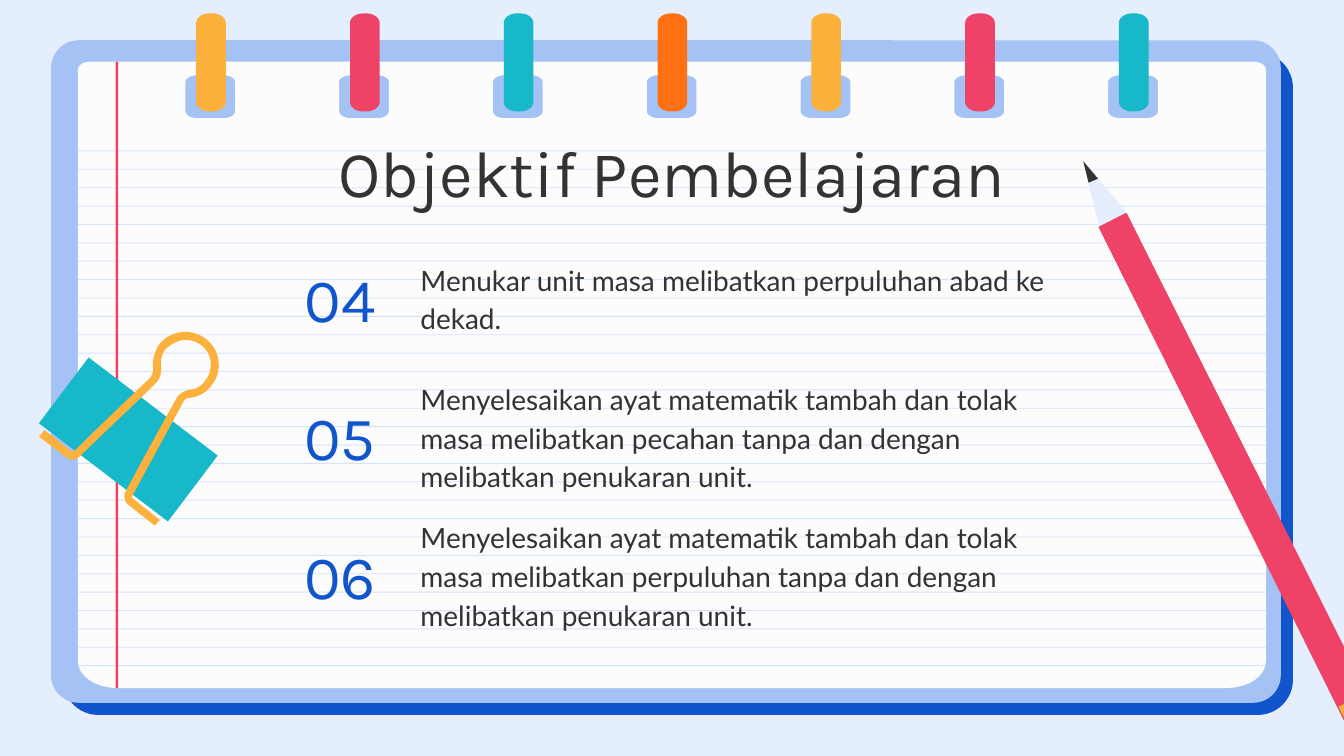
import math
from lxml import etree
from pptx import Presentation, util as u
from pptx.dml.color import RGBColor
from pptx.enum import shapes, text
from pptx.oxml.ns import qn

SKY = RGBColor(0xE5, 0xEE, 0xFC)
BLUE = RGBColor(0x11, 0x55, 0xCC)
PALE_BLUE = RGBColor(0xA4, 0xC2, 0xF4)
PAPER = RGBColor(0xFC, 0xFC, 0xFC)
YELLOW = RGBColor(0xFB, 0xB1, 0x3C)
RED = RGBColor(0xEE, 0x42, 0x66)
TEAL = RGBColor(0x16, 0xB8, 0xC9)
ORANGE = RGBColor(0xFF, 0x71, 0x13)
INK = RGBColor(0x33, 0x33, 0x33)

# Content
TITLE = "Objektif Pembelajaran"
OBJECTIVES = [
    ("04", "Menukar unit masa melibatkan perpuluhan abad ke dekad."),
    ("05", "Menyelesaikan ayat matematik tambah dan tolak masa melibatkan "
           "pecahan tanpa dan dengan melibatkan penukaran unit."),
    ("06", "Menyelesaikan ayat matematik tambah dan tolak masa melibatkan "
           "perpuluhan tanpa dan dengan melibatkan penukaran unit."),
]
RING_COLORS = [YELLOW, RED, TEAL, ORANGE, YELLOW, RED, TEAL]

# Outlines in inches: pairs are corners, sixes are Bezier curves
CLIP_BODY = [(0.66, 2.66), (0.29, 3.15), (1.25, 3.88), (1.62, 3.39)]
CLIP_WIRE = [
    (1.38, 2.47), (1.31, 2.47, 1.23, 2.5, 1.18, 2.57), (1.15, 2.62, 1.13, 2.68, 1.14, 2.75),
    (1.14, 2.77, 1.13, 2.79, 1.12, 2.81), (0.97, 2.95, 0.66, 3.25, 0.56, 3.35),
    (0.55, 3.36, 0.54, 3.36, 0.54, 3.36), (0.53, 3.36, 0.52, 3.36, 0.52, 3.35),
    (0.33, 3.2), (0.29, 3.25), (0.49, 3.4), (0.5, 3.41, 0.52, 3.42, 0.54, 3.42),
    (0.56, 3.42, 0.58, 3.41, 0.6, 3.39), (0.7, 3.29, 1.01, 3, 1.16, 2.85),
    (1.19, 2.82, 1.2, 2.78, 1.2, 2.74), (1.19, 2.69, 1.2, 2.64, 1.23, 2.6),
    (1.27, 2.56, 1.33, 2.53, 1.38, 2.53), (1.42, 2.53, 1.46, 2.54, 1.5, 2.57),
    (1.58, 2.63, 1.59, 2.75, 1.53, 2.83), (1.5, 2.87, 1.46, 2.9, 1.41, 2.9),
    (1.37, 2.91, 1.33, 2.93, 1.31, 2.97), (1.21, 3.15, 1, 3.53, 0.94, 3.65),
    (0.91, 3.69, 0.93, 3.74, 0.96, 3.76), (1.15, 3.91), (1.19, 3.87), (0.99, 3.71),
    (0.98, 3.71, 0.98, 3.69, 0.99, 3.68), (1.06, 3.55, 1.26, 3.18, 1.36, 3),
    (1.37, 2.97, 1.39, 2.96, 1.42, 2.96), (1.48, 2.95, 1.54, 2.92, 1.58, 2.86),
    (1.66, 2.76, 1.64, 2.6, 1.53, 2.52), (1.49, 2.49, 1.43, 2.47, 1.38, 2.47),
]
PENCIL = [  # outline, fill, outlined
    ([(8.06, 1.2), (8.18, 1.69), (8.39, 1.59)], SKY, False),
    ([(8.06, 1.2), (8.1, 1.36), (8.17, 1.33)], INK, False),
    ([(8.28, 1.64), (10.18, 5.43), (10.28, 5.38), (8.38, 1.59)], RED, True),
    ([(8.18, 1.69), (10.07, 5.49), (10.18, 5.43), (8.28, 1.64)], RED, True),
    ([(9.96, 5.26), (10.09, 5.52), (10.3, 5.42), (10.17, 5.15)], YELLOW, False),
]


def flatten(outline, steps=8):
    """Turn the curves of an outline into short straight segments."""
    points = [outline[0]]
    for seg in outline[1:]:
        if len(seg) == 2:
            points.append(seg)
            continue
        curve = [points[-1], seg[:2], seg[2:4], seg[4:]]
        for i in range(1, steps + 1):
            t = i / steps
            w = [(1 - t) ** 3, 3 * t * (1 - t) ** 2, 3 * t * t * (1 - t), t ** 3]
            points.append(tuple(sum(k * pt[a] for k, pt in zip(w, curve)) for a in (0, 1)))
    return points


def rounded(left, top, right, bottom, top_radii, bottom_radii):
    """Corner points of a box with elliptical corners, clockwise from the left."""
    corners = [(left, top, 1, 1, top_radii), (right, top, -1, 1, top_radii),
               (right, bottom, -1, -1, bottom_radii), (left, bottom, 1, -1, bottom_radii)]
    points = []
    for n, (x, y, sx, sy, (rx, ry)) in enumerate(corners):
        for i in range(9):
            a = math.pi + (n + i / 8) * math.pi / 2
            points.append((x + sx * rx + rx * math.cos(a), y + sy * ry + ry * math.sin(a)))
    return points


def paint(sp, color, outlined=False):
    sp.shadow.inherit = False
    sp.fill.solid()
    sp.fill.fore_color.rgb = color
    if outlined:
        sp.line.color.rgb = color
        sp.line.width = u.Pt(0.75)
    else:
        sp.line.fill.background()
    return sp


def add_outline(s, contours, color, outlined=False):
    contours = [[(u.Inches(x), u.Inches(y)) for x, y in c] for c in contours]
    builder = s.shapes.build_freeform(*contours[0][0])
    for i, c in enumerate(contours):
        if i:
            builder.move_to(*c[0])
        builder.add_line_segments(c[1:], close=True)
    return paint(builder.convert_to_shape(), color, outlined)


def add_box(s, kind, left, top, width, height, color):
    sp = s.shapes.add_shape(kind, *map(u.Inches, (left, top, width, height)))
    return paint(sp, color)


def add_text(s, box, words, font, size, color, align, anchor, spacing=None):
    tf = s.shapes.add_textbox(*map(u.Inches, box)).text_frame
    tf.word_wrap = True
    tf.vertical_anchor = anchor
    tf.margin_left = tf.margin_right = tf.margin_top = tf.margin_bottom = u.Inches(0.1)
    p = tf.paragraphs[0]
    p.text = words
    p.alignment = align
    p.line_spacing = spacing
    p.font.name, p.font.size, p.font.color.rgb = font, u.Pt(size), color


prs = Presentation()
prs.slide_width = u.Inches(10)
prs.slide_height = u.Inches(10 * 9 / 16)
s = prs.slides.add_slide(prs.slide_layouts[6])
s.background.fill.solid()
s.background.fill.fore_color.rgb = SKY

# Notebook covers
for left, top, color, corner in [(0.47, 0.39, BLUE, 0.053), (0.38, 0.3, PALE_BLUE, 0.042)]:
    sp = add_box(s, shapes.MSO_SHAPE.ROUNDED_RECTANGLE, left, top, 9.15, 4.93, color)
    sp.adjustments[0] = corner

# Paper with punched holes, then the rings
RING_STEP = 8.01 / 7
ring_lefts = [RING_STEP * i for i in range(len(RING_COLORS))]
holes = [rounded(1.38 + x, 0.56, 1.75 + x, 0.88, (0.09, 0.05), (0.09, 0.05)) for x in ring_lefts]
sheet = rounded(0.58, 0.46, 9.42, 5.12, (0.09, 0.06), (0.29, 0.2))
add_outline(s, [sheet] + [hole[::-1] for hole in holes], PAPER)
for x, color in zip(ring_lefts, RING_COLORS):
    add_outline(s, [rounded(1.46 + x, 0.1, 1.68 + x, 0.83, (0.1, 0.07), (0.1, 0.07))], color)

# Ruled lines and margin
LINES = 29
for i in range(LINES):
    y = 1.12 + i * (4.95 - 1.12) / (LINES - 1)
    sp = add_box(s, shapes.MSO_SHAPE.RECTANGLE, 0.58, y, 8.84, 0.01, PALE_BLUE)
    sp.height = u.Pt(0.5)
    clr = sp.fill._xPr.find(qn("a:solidFill"))[0]
    etree.SubElement(clr, qn("a:alpha")).set("val", "41000")
add_box(s, shapes.MSO_SHAPE.RECTANGLE, 0.86, 0.46, 0.02, 4.66, RED)

# Title and numbered objectives
align, anchor = text.PP_ALIGN, text.MSO_ANCHOR
add_text(s, (0.78, 0.88, 8.44, 0.65), TITLE, "Karla", 35, INK, align.CENTER, anchor.TOP)
for i, (number, goal) in enumerate(OBJECTIVES):
    y = 1.03 * i
    add_text(s, (3.03, 2.01 + y, 5.02, 0.4), goal, "Lato", 15, INK,
             align.LEFT, anchor.MIDDLE, 1.15)
    add_text(s, (1.95, 1.94 + y, 1.16, 0.55), number, "Karla", 33, BLUE,
             align.CENTER, anchor.MIDDLE)

# Binder clip and pencil
add_outline(s, [CLIP_BODY], TEAL)
add_outline(s, [flatten(CLIP_WIRE)], YELLOW)
for outline, color, outlined in PENCIL:
    add_outline(s, [outline], color, outlined)

prs.save("out.pptx")
